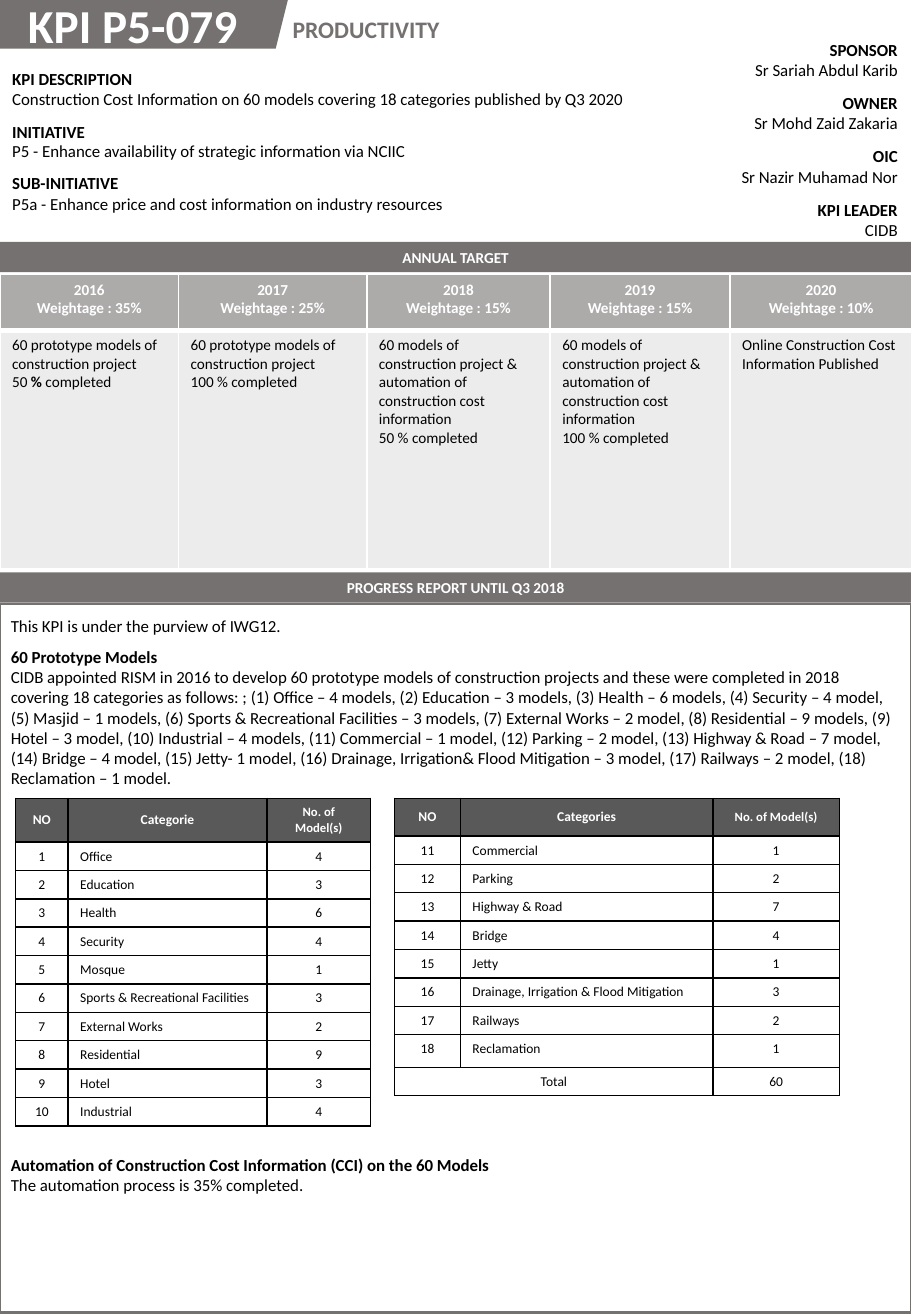
import pptx
import pptx.dml.color
import pptx.enum.shapes
import pptx.enum.text
import pptx.oxml
import pptx.oxml.ns
import pptx.util
from pptx.util import Inches

COLORS = {"band": "767171", "year": "ADAAAA", "target": "EDECEC", "header": "595959",
          "black": "000000", "white": "FFFFFF"}
RGB = {name: pptx.dml.color.RGBColor.from_string(value) for name, value in COLORS.items()}
ALIGN = pptx.enum.text.PP_ALIGN
ANCHOR = pptx.enum.text.MSO_ANCHOR
SHAPE = pptx.enum.shapes.MSO_SHAPE
NO_STYLE = "{2D5ABB26-0587-4C30-8999-92F81FD0307C}"


def write(frame, lines, size=10, color="black", bold=False, align=ALIGN.LEFT, wrap=True):
    frame.word_wrap = wrap
    for index, line in enumerate(lines):
        paragraph = frame.paragraphs[0] if index == 0 else frame.add_paragraph()
        paragraph.alignment = align
        for text, heavy in [(line, bold)] if isinstance(line, str) else line:
            run = paragraph.add_run()
            run.text = text
            run.font.name = "Calibri"
            run.font.size = pptx.util.Pt(size)
            run.font.bold = heavy
            run.font.color.rgb = RGB[color]


def add_grid(left, top, widths, heights, border=None):
    frame = slide.shapes.add_table(len(heights), len(widths), Inches(left), Inches(top),
                                   Inches(sum(widths)), Inches(sum(heights)))
    frame.element.find(".//" + pptx.oxml.ns.qn("a:tableStyleId")).text = NO_STYLE
    grid = frame.table
    grid.first_row = grid.horz_banding = False
    for column, width in zip(grid.columns, widths):
        column.width = Inches(width)
    for row, height in zip(grid.rows, heights):
        row.height = Inches(height)
    for cell in grid.iter_cells():
        if border:
            properties = cell._tc.get_or_add_tcPr()
            for side in ("lnL", "lnR", "lnT", "lnB"):
                properties.append(pptx.oxml.parse_xml(
                    f'<a:{side} {pptx.oxml.ns.nsdecls("a")} w="12700"><a:solidFill>'
                    f'<a:srgbClr val="{COLORS[border]}"/></a:solidFill></a:{side}>'))
        cell.fill.background()
    return grid


prs = pptx.Presentation()
prs.slide_width, prs.slide_height = Inches(7.5), Inches(10.83)
slide = prs.slides.add_slide(prs.slide_layouts[5])

kpi_title = slide.shapes.title
kpi_title.left, kpi_title.top = Inches(0.13), Inches(-0.08)
kpi_title.width, kpi_title.height = Inches(2.24), Inches(0.57)
kpi_title.text_frame.auto_size = pptx.enum.text.MSO_AUTO_SIZE.NONE
kpi_title.text_frame.vertical_anchor = ANCHOR.TOP
write(kpi_title.text_frame, ["KPI P5-079"], size=28, color="white", bold=True)

title_band = slide.shapes.add_shape(SHAPE.PARALLELOGRAM, Inches(-0.17), 0, Inches(2.54), Inches(0.4))
title_band.shadow.inherit = False
title_band.fill.solid()
title_band.fill.fore_color.rgb = RGB["band"]
title_band.line.fill.background()
kpi_title.element.addprevious(title_band.element)

report_border = slide.shapes.add_shape(SHAPE.RECTANGLE, 0, Inches(4.97), Inches(7.5), Inches(5.83))
report_border.shadow.inherit = False
report_border.fill.background()
report_border.line.color.rgb = RGB["band"]
report_border.line.width = pptx.util.Pt(1.5)

for heading, top in (("ANNUAL TARGET", 1.99), ("PROGRESS REPORT UNTIL Q3 2018", 4.71)):
    band = slide.shapes.add_shape(SHAPE.RECTANGLE, 0, Inches(top), Inches(7.5), Inches(0.25))
    band.shadow.inherit = False
    band.fill.solid()
    band.fill.fore_color.rgb = RGB["band"]
    band.line.fill.background()
    write(band.text_frame, [heading], size=9, color="white", bold=True, align=ALIGN.CENTER)

theme = slide.shapes.add_textbox(Inches(2.31), Inches(0.07), Inches(1.45), Inches(0.34))
write(theme.text_frame, ["PRODUCTIVITY"], size=14, color="band", bold=True, wrap=False)

people = [("SPONSOR", "Sr Sariah Abdul Karib"), ("OWNER", "Sr Mohd Zaid Zakaria"),
          ("OIC", "Sr Nazir Muhamad Nor"), ("KPI LEADER", "CIDB")]
details = [
    ("KPI DESCRIPTION",
     "Construction Cost Information on 60 models covering 18 categories published by Q3 2020"),
    ("INITIATIVE", "P5 - Enhance availability of strategic information via NCIIC"),
    ("SUB-INITIATIVE", "P5a - Enhance price and cost information on industry resources")]
people_grid = add_grid(4.72, 0.28, [2.77], [0.44] * 4)
details_grid = add_grid(0, 0.52, [5.52], [0.44, 0.42, 0.44])
for grid, entries, align in ((people_grid, people, ALIGN.RIGHT), (details_grid, details, ALIGN.LEFT)):
    for row, (label, value) in enumerate(entries):
        write(grid.cell(row, 0).text_frame, [[(label, True)], value], align=align)
details_grid.cell(1, 0).text_frame.paragraphs[1].line_spacing = 0.88

prototypes = "60 prototype models of construction project"
automation = "60 models of construction project & automation of construction cost information"
targets = [
    ("2016", 35, [prototypes, [("50 ", False), ("% ", True), ("completed", False)]]),
    ("2017", 25, [prototypes, "100 % completed"]),
    ("2018", 15, [automation, "50 % completed"]),
    ("2019", 15, [automation, "100 % completed"]),
    ("2020", 10, ["Online Construction Cost Information Published"])]
target_grid = add_grid(0, 2.26, [1.47, 1.55, 1.51, 1.48, 1.5], [0.46, 1.96], "white")
for column, (year, weight, goal) in enumerate(targets):
    year_cell, goal_cell = target_grid.cell(0, column), target_grid.cell(1, column)
    for cell, shade in ((year_cell, "year"), (goal_cell, "target")):
        cell.fill.solid()
        cell.fill.fore_color.rgb = RGB[shade]
    for cell, edge in ((year_cell, "lnB"), (goal_cell, "lnT")):
        cell._tc.tcPr.find(pptx.oxml.ns.qn("a:" + edge)).set("w", "38100")
    write(year_cell.text_frame, [year, f"Weightage : {weight}%"], size=9, color="white",
          bold=True, align=ALIGN.CENTER)
    write(goal_cell.text_frame, goal, size=9)

report = slide.shapes.add_textbox(Inches(-0.01), Inches(5.02), Inches(7.51), Inches(1.5))
write(report.text_frame, [
    "This KPI is under the purview of IWG12.",
    [("60 Prototype Models", True)],
    "CIDB appointed RISM in 2016 to develop 60 prototype models of construction projects and these "
    "were completed in 2018 covering 18 categories as follows: ; (1) Office – 4 models, "
    "(2) Education – 3 models, (3) Health – 6 models, (4) Security – 4 model, (5) Masjid – 1 models, "
    "(6) Sports & Recreational Facilities – 3 models, (7) External Works – 2 model, "
    "(8) Residential – 9 models, (9) Hotel – 3 model, (10) Industrial – 4 models, "
    "(11) Commercial – 1 model, (12) Parking – 2 model, (13) Highway & Road – 7 model, "
    "(14) Bridge – 4 model, (15) Jetty- 1 model, (16) Drainage, Irrigation& Flood Mitigation – 3 model, "
    "(17) Railways – 2 model, (18) Reclamation – 1 model."])
report.text_frame.paragraphs[1].space_before = pptx.util.Pt(6)

progress = slide.shapes.add_textbox(Inches(-0.01), Inches(9.45), Inches(7.51), Inches(0.44))
write(progress.text_frame, [
    [("Automation of Construction Cost Information (CCI) on the 60 Models", True)],
    "The automation process is 35% completed."])

models = [("Office", 4), ("Education", 3), ("Health", 6), ("Security", 4), ("Mosque", 1),
          ("Sports & Recreational Facilities", 3), ("External Works", 2), ("Residential", 9),
          ("Hotel", 3), ("Industrial", 4), ("Commercial", 1), ("Parking", 2),
          ("Highway & Road", 7), ("Bridge", 4), ("Jetty", 1),
          ("Drainage, Irrigation & Flood Mitigation", 3), ("Railways", 2), ("Reclamation", 1)]
rows = [(str(number), name, str(count)) for number, (name, count) in enumerate(models, 1)]
total = ("Total", "", str(sum(count for name, count in models)))
first_grid = add_grid(0.13, 6.57, [0.43, 1.64, 0.85], [0.36] + [0.23] * 10, "black")
second_grid = add_grid(3.25, 6.57, [0.54, 2.08, 1.04], [0.31] + [0.23] * 7 + [0.27, 0.23], "black")
second_grid.cell(9, 0).merge(second_grid.cell(9, 1))
for grid, heading, body in ((first_grid, "Categorie", rows[:10]),
                            (second_grid, "Categories", rows[10:] + [total])):
    for column, text in enumerate(("NO", heading, "No. of Model(s)")):
        cell = grid.cell(0, column)
        cell.fill.solid()
        cell.fill.fore_color.rgb = RGB["header"]
        cell.vertical_anchor = ANCHOR.MIDDLE
        write(cell.text_frame, [text], size=7.5 if column == 2 else 8, color="white", bold=True,
              align=ALIGN.CENTER)
    for row, values in enumerate(body, 1):
        for column, text in enumerate(values):
            if text:
                write(grid.cell(row, column).text_frame, [text], size=8,
                      align=ALIGN.LEFT if column == 1 else ALIGN.CENTER)

prs.save("out.pptx")
